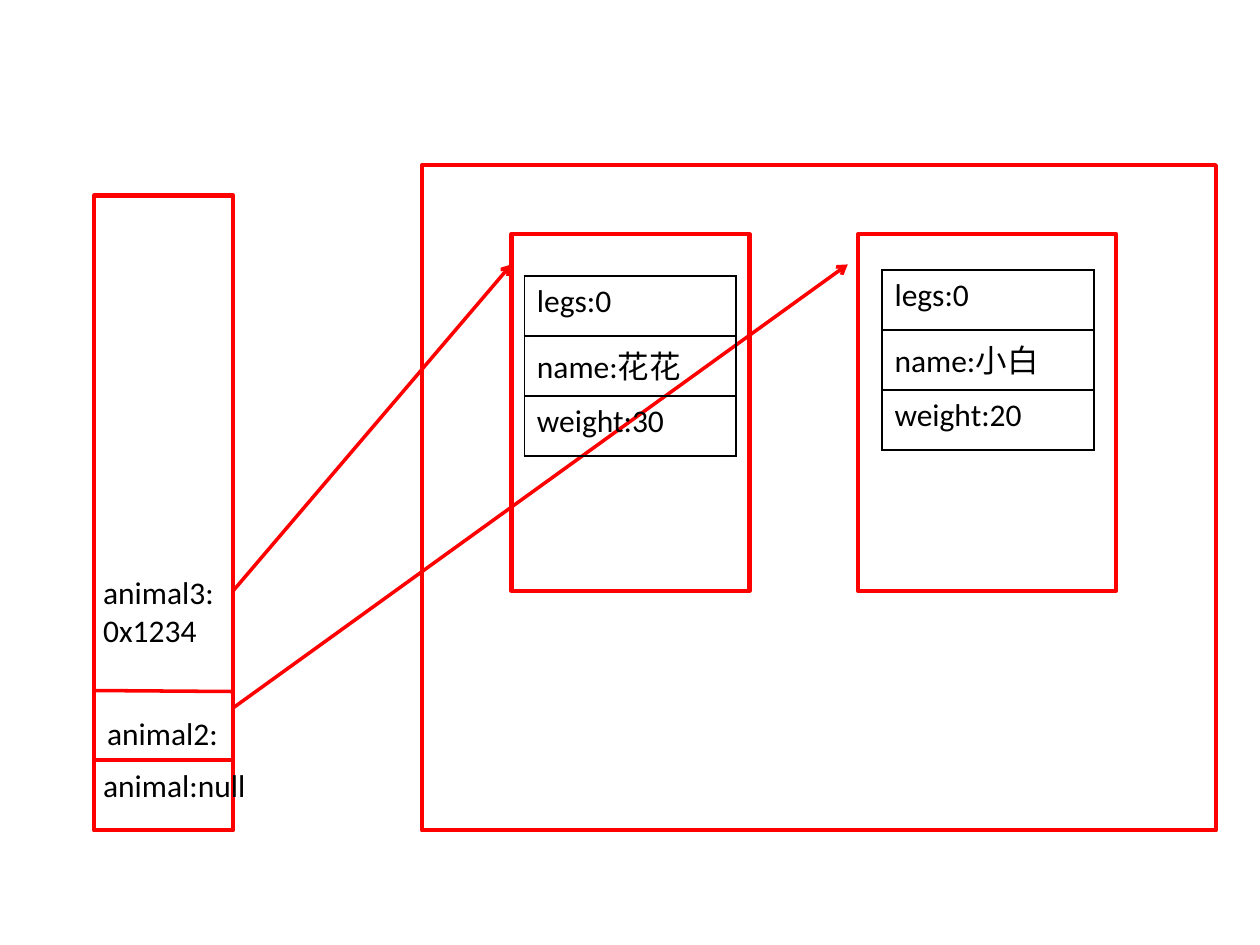
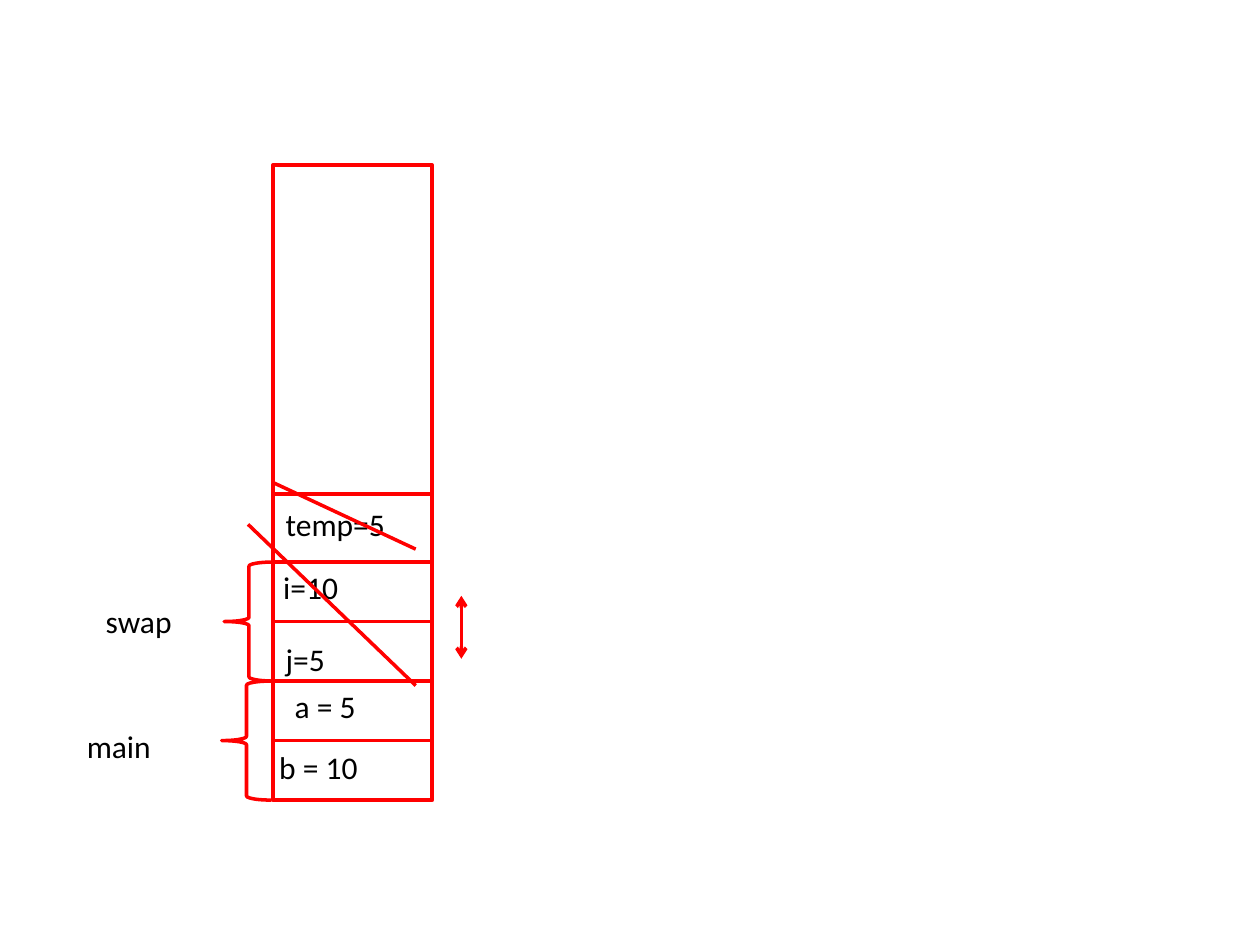
"""Build two memory diagrams: objects on the heap, and a swap on the stack."""
import pptx
import pptx.dml.color
import pptx.enum.shapes
import pptx.enum.text
import pptx.oxml
import pptx.oxml.ns
import pptx.util

Cm = pptx.util.Cm
Pt = pptx.util.Pt
SHAPE = pptx.enum.shapes.MSO_SHAPE
RED = pptx.dml.color.RGBColor(0xFF, 0x00, 0x00)
BLACK = pptx.dml.color.RGBColor(0x00, 0x00, 0x00)
WHITE = pptx.dml.color.RGBColor(0xFF, 0xFF, 0xFF)
TEXT_FORMAT = {"name": "Calibri", "size": Pt(18)}
PLAIN_TABLE = {"first_row": False, "horz_banding": False}
ARROW = {"tailEnd": "arrow"}
DOUBLE_ARROW = {"headEnd": "arrow", "tailEnd": "arrow"}


def drawing_element(tag, content="", attributes=""):
    namespace = pptx.oxml.ns.nsdecls("a")
    return pptx.oxml.parse_xml(f"<a:{tag} {namespace} {attributes}>{content}</a:{tag}>")


def style_text(paragraph):
    for attribute, value in TEXT_FORMAT.items():
        setattr(paragraph.font, attribute, value)
    paragraph.font.color.rgb = BLACK


deck = pptx.Presentation()
deck.slide_width, deck.slide_height = Cm(25.4), Cm(19.05)
heap_slide, swap_slide = [deck.slides.add_slide(deck.slide_layouts[6]) for _ in range(2)]
for slide in (heap_slide, swap_slide):
    slide.background.fill.solid()
    slide.background.fill.fore_color.rgb = WHITE

STACK_LEFT, STACK_RIGHT = 1.9, 4.7
FRAME_LEFT, FRAME_RIGHT, FRAME_BOTTOM, SLOT = 5.51, 8.71, 16.13, 1.2
STACK_HEIGHT = 12.8

outlines = [
    (heap_slide, SHAPE.RECTANGLE, STACK_LEFT, 3.94, STACK_RIGHT - STACK_LEFT, STACK_HEIGHT, 2.5),
    (heap_slide, SHAPE.RECTANGLE, 8.51, 3.33, 16, 13.41, 2.5),
    (heap_slide, SHAPE.RECTANGLE, 10.31, 4.72, 4.8, 7.19, 2.5),
    (heap_slide, SHAPE.RECTANGLE, 17.3, 4.72, 5.2, 7.19, 2.5),
    (swap_slide, SHAPE.RECTANGLE, FRAME_LEFT, 3.33, FRAME_RIGHT - FRAME_LEFT, STACK_HEIGHT, 2.5),
    (swap_slide, SHAPE.LEFT_BRACE, 4.47, FRAME_BOTTOM - 2 * SLOT, 1, 2 * SLOT, 2),
    (swap_slide, SHAPE.LEFT_BRACE, 4.52, FRAME_BOTTOM - 4 * SLOT, 1, 2 * SLOT, 2),
]
for slide, preset, left, top, width, height, weight in outlines:
    outline = slide.shapes.add_shape(preset, Cm(left), Cm(top), Cm(width), Cm(height))
    outline.shadow.inherit = False
    outline.fill.background()
    outline.line.color.rgb = RED
    outline.line.width = Pt(weight)

labels = [
    (heap_slide, "animal:null", 1.83, 15.32, 3.48, 1.02),
    (heap_slide, "animal2:", 1.91, 14.27, 2.79, 1.02),
    (heap_slide, "animal3:0x1234", 1.83, 11.43, 2.79, 2.57),
    (swap_slide, "main", 1.5, 14.53, 2.6, 1.02),
    (swap_slide, "swap", 1.88, 12.01, 2.6, 1.02),
    (swap_slide, "a = 5", 5.69, 13.72, 3, 1.02),
    (swap_slide, "b = 10", 5.38, 14.96, 3, 1.02),
    (swap_slide, "i=10", 5.46, 11.33, 3, 1.02),
    (swap_slide, "j=5", 5.51, 12.78, 3, 1.02),
    (swap_slide, "temp=5", 5.51, 10.06, 3, 1.02),
]
for slide, words, left, top, width, height in labels:
    label = slide.shapes.add_textbox(Cm(left), Cm(top), Cm(width), Cm(height)).text_frame
    label.word_wrap = True
    label.text = words
    style_text(label.paragraphs[0])

lines = [
    (heap_slide, (STACK_LEFT, 15.32), (STACK_RIGHT, 15.32), {}),
    (heap_slide, (STACK_LEFT, 13.92), (STACK_RIGHT, 13.94), {}),
    (heap_slide, (STACK_RIGHT, 14.27), (17.09, 5.33), ARROW),
    (heap_slide, (STACK_RIGHT, 11.91), (10.31, 5.33), ARROW),
    (swap_slide, (9.3, 12.01), (9.3, 13.28), DOUBLE_ARROW),
    (swap_slide, (FRAME_LEFT, 9.73), (8.38, 11.07), {}),
    (swap_slide, (5, 10.57), (8.38, 13.82), {}),
    (swap_slide, (FRAME_LEFT, 9.96), (FRAME_RIGHT, 9.96), {}),
]
for slot in range(1, 5):
    level = FRAME_BOTTOM - slot * SLOT
    lines.append((swap_slide, (FRAME_LEFT, level), (FRAME_RIGHT, level), {}))
for slide, start, end, heads in lines:
    line = slide.shapes.add_connector(
        pptx.enum.shapes.MSO_CONNECTOR.STRAIGHT, *[Cm(value) for value in start + end])
    line.line.color.rgb = RED
    line.line.width = Pt(2)
    for tag, kind in heads.items():
        line.line._get_or_add_ln().append(drawing_element(tag, attributes=f'type="{kind}"'))
    line._element.spPr.append(drawing_element("effectLst"))

animals = [
    (10.57, 5.56, ["legs:0", "name:花花", "weight:30"]),
    (17.78, 5.44, ["legs:0", "name:小白", "weight:20"]),
]
border_fill = f'<a:solidFill><a:srgbClr val="{BLACK}"/></a:solidFill>'
for left, top, fields in animals:
    animal = heap_slide.shapes.add_table(
        len(fields), 1, Cm(left), Cm(top), Cm(4.27), Cm(1.21 * len(fields))).table
    for attribute, value in PLAIN_TABLE.items():
        setattr(animal, attribute, value)
    for row, field in enumerate(fields):
        cell = animal.cell(row, 0)
        cell.text = field
        style_text(cell.text_frame.paragraphs[0])
        for side in ("lnL", "lnR", "lnT", "lnB"):
            cell._tc.get_or_add_tcPr().append(
                drawing_element(side, border_fill, f'w="{Pt(1)}"'))
        cell.fill.background()

deck.save("out.pptx")
